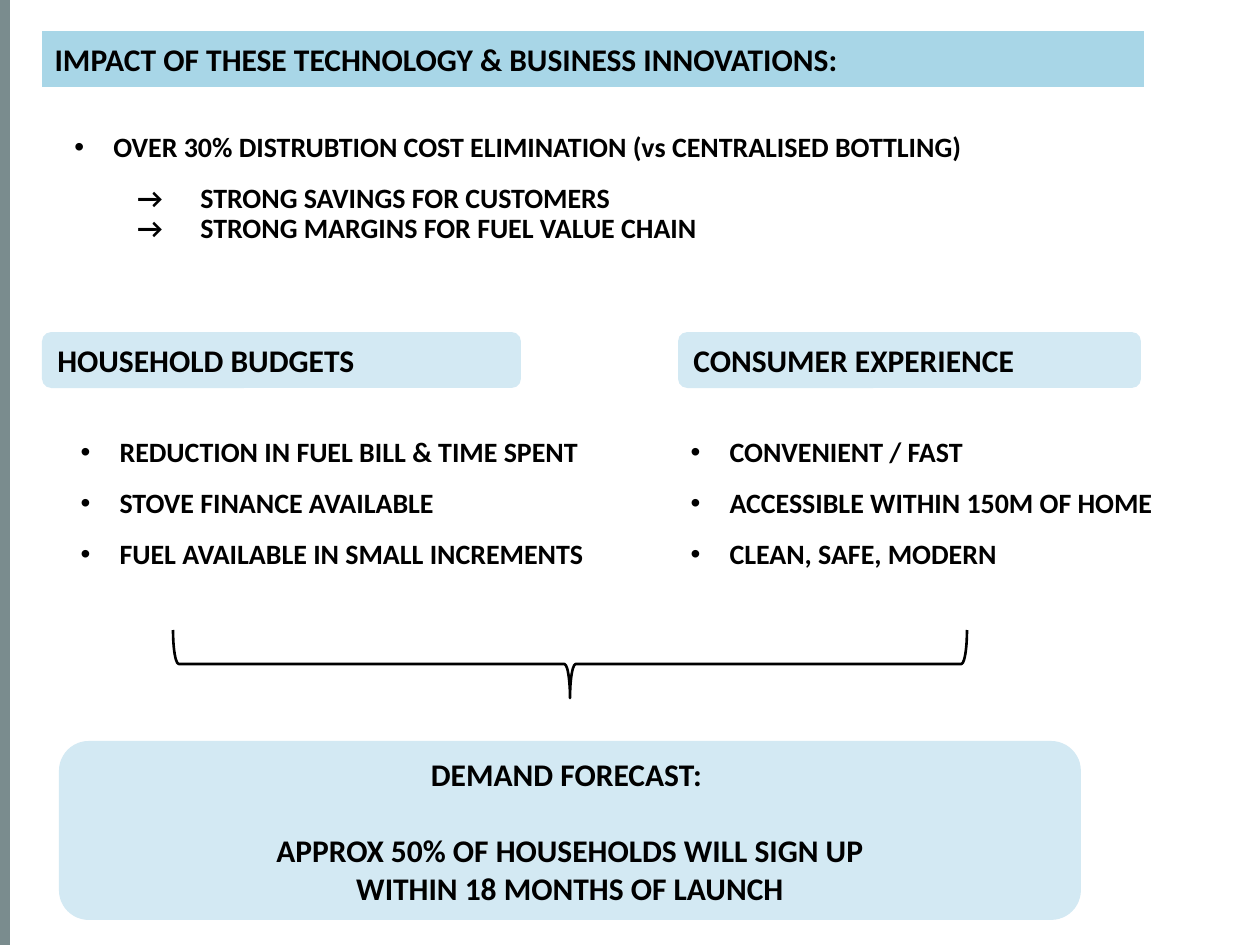
from lxml import etree
from pptx import Presentation
from pptx import util as u
from pptx.dml.color import RGBColor
from pptx.enum import shapes, text
from pptx.oxml import ns

BLACK = RGBColor(0, 0, 0)
GREY = RGBColor(0x7A, 0x8C, 0x8E)
BLUE = RGBColor(0xA8, 0xD6, 0xE7)
PALE = RGBColor(0xD3, 0xE9, 0xF3)
FONT = "Calibri"
DPI = 126


def px(n):
    return u.Emu(round(n * 914400 / DPI))


def place(shape, left, top, width, height):
    shape.left, shape.top = px(left), px(top)
    shape.width, shape.height = px(width), px(height)


def bullet(para):
    props = para._p.get_or_add_pPr()
    props.set("marL", str(px(39)))
    props.set("indent", str(-px(39)))
    color = etree.SubElement(props, ns.qn("a:buClr"))
    etree.SubElement(color, ns.qn("a:srgbClr"), val=str(BLACK))
    etree.SubElement(props, ns.qn("a:buFont"), typeface="Arial")
    etree.SubElement(props, ns.qn("a:buChar"), char="•")


def write(shape, lines, size=18, align=text.PP_ALIGN.LEFT,
          anchor=text.MSO_ANCHOR.MIDDLE, gaps=None, lead=1.0, dots=0):
    """Fill a shape; gaps are points before each line, dots counts bullets."""
    frame = shape.text_frame
    frame.word_wrap = True
    frame.auto_size = text.MSO_AUTO_SIZE.NONE
    frame.vertical_anchor = anchor
    for i, line in enumerate(lines):
        para = frame.paragraphs[0] if i == 0 else frame.add_paragraph()
        if i < dots:
            bullet(para)
        para.alignment = align
        para.line_spacing = lead
        para.space_before = u.Pt(gaps[i] if gaps else 0)
        run = para.add_run()
        run.text = line
        run.font.name, run.font.size = FONT, u.Pt(size)
        run.font.bold, run.font.color.rgb = True, BLACK


def bar(holder, box, color, line):
    """Turn a placeholder into a rounded heading bar."""
    place(holder, *box)
    geom = etree.SubElement(holder._element.spPr, ns.qn("a:prstGeom"),
                            prst="roundRect")
    etree.SubElement(geom, ns.qn("a:avLst"))
    holder.fill.solid()
    holder.fill.fore_color.rgb = color
    write(holder, [line])


def points(shape, box, lines, gaps, dots):
    place(shape, *box)
    write(shape, lines, size=16, anchor=text.MSO_ANCHOR.TOP,
          gaps=gaps, lead=0.9, dots=dots)


def block(slide, kind, box, color):
    shape = slide.shapes.add_shape(kind, *map(px, box))
    shape.shadow.inherit = False
    shape.fill.solid()
    shape.fill.fore_color.rgb = color
    shape.line.fill.background()
    return shape


def brace(slide, box):
    shape = slide.shapes.add_shape(shapes.MSO_SHAPE.RIGHT_BRACE, *map(px, box))
    shape.shadow.inherit = False
    shape.rotation = 90
    shape.fill.background()
    shape.line.color.rgb = BLACK
    shape.line.width = u.Pt(1.5)


def main():
    deck = Presentation()
    deck.slide_width, deck.slide_height = px(1260), px(945)
    slide = deck.slides.add_slide(deck.slide_layouts[4])
    holders = {h.placeholder_format.idx: h for h in slide.placeholders}

    # Side strip and title
    block(slide, shapes.MSO_SHAPE.RECTANGLE, (0, 0, 10, 945), GREY)
    bar(holders[0], (42, 31, 1102, 56), BLUE,
        "IMPACT OF THESE TECHNOLOGY & BUSINESS INNOVATIONS:")

    # Cost impact
    points(slide.shapes.add_textbox(0, 0, 0, 0), (62, 127, 995, 161),
           ["OVER 30% DISTRUBTION COST ELIMINATION (vs CENTRALISED BOTTLING)",
            "\t→\tSTRONG SAVINGS FOR CUSTOMERS",
            "\t→ \tSTRONG MARGINS FOR FUEL VALUE CHAIN"], [0, 12, 0], 1)

    # Two columns
    columns = [
        (1, (42, 332, 479, 56), "HOUSEHOLD BUDGETS", (68, 432, 562, 198),
         ["REDUCTION IN FUEL BILL & TIME SPENT", "STOVE FINANCE AVAILABLE",
          "FUEL AVAILABLE IN SMALL INCREMENTS"]),
        (3, (678, 332, 463, 56), "CONSUMER EXPERIENCE", (678, 432, 500, 198),
         ["CONVENIENT / FAST", "ACCESSIBLE WITHIN 150M OF HOME",
          "CLEAN, SAFE, MODERN"]),
    ]
    for idx, head, name, body, lines in columns:
        bar(holders[idx], head, PALE, name)
        points(holders[idx + 1], body, lines, [0, 12, 12], 3)

    # Forecast
    brace(slide, (536, 267, 68, 794))
    result = block(slide, shapes.MSO_SHAPE.ROUNDED_RECTANGLE,
                   (59, 741, 1022, 179), PALE)
    write(result, ["DEMAND FORECAST: ", "APPROX 50% OF HOUSEHOLDS WILL SIGN UP",
                   "WITHIN 18 MONTHS OF LAUNCH"],
          align=text.PP_ALIGN.CENTER, gaps=[0, 22, 0])

    deck.save("out.pptx")


if __name__ == "__main__":
    main()
